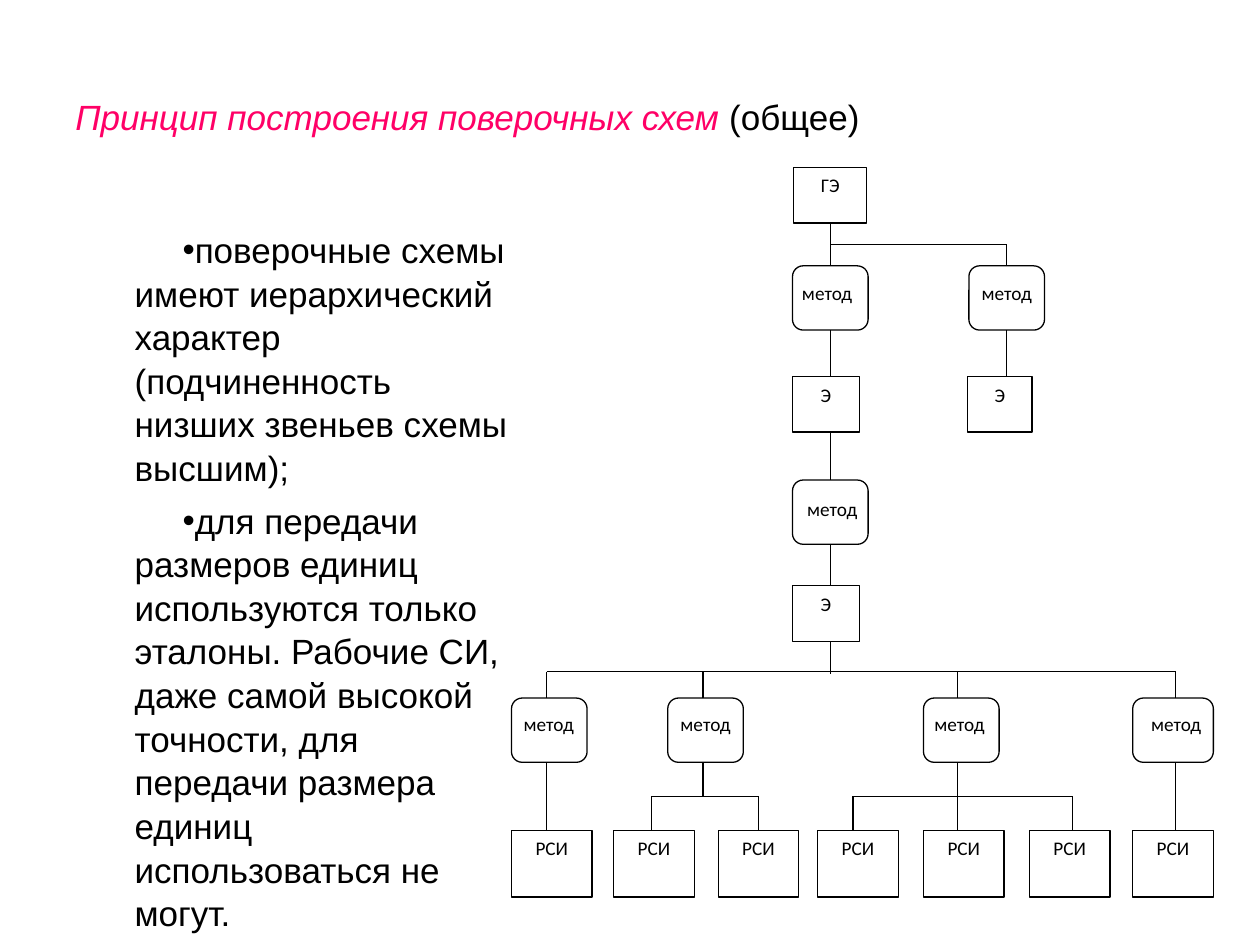
from lxml.etree import SubElement
from pptx import Presentation
from pptx.dml.color import RGBColor
from pptx.enum.shapes import MSO_CONNECTOR as LINE, MSO_SHAPE as SHAPE
from pptx.enum.text import MSO_ANCHOR as ANCHOR, PP_ALIGN as ALIGN
from pptx.oxml.ns import qn
from pptx.util import Pt

SCALE = 9144
BLACK, WHITE, PINK = "000000", "FFFFFF", "FF0066"
TOP, BOTTOM = 0, 2


def px(n):
    return round(n * SCALE)


def color(value):
    return RGBColor.from_string(value)


def write(p, text, size=20, font="Arial", fill=BLACK, italic=False):
    r = p.add_run()
    r.text = text
    r.font.size = Pt(size)
    r.font.name = font
    r.font.italic = italic
    r.font.color.rgb = color(fill)


def add_frame(slide, x, y, w, h, anchor=ANCHOR.TOP):
    tf = slide.shapes.add_textbox(px(x), px(y), px(w), px(h)).text_frame
    tf.word_wrap = True
    tf.vertical_anchor = anchor
    return tf


def add_title(slide, x, y, w, h):
    p = add_frame(slide, x, y, w, h, ANCHOR.MIDDLE).paragraphs[0]
    write(p, "Принцип построения поверочных схем ", fill=PINK, italic=True)
    write(p, "(общее)")


def add_body(slide, x, y, w, h, items):
    tf = add_frame(slide, x, y, w, h)
    for i, item in enumerate(items):
        p = tf.add_paragraph() if i else tf.paragraphs[0]
        p.space_before = Pt(5)
        p.line_spacing = 1.04
        pPr = p._p.get_or_add_pPr()
        pPr.set("marL", str(px(47)))
        pPr.set("indent", str(px(38)))
        SubElement(pPr, qn("a:buFont")).set("typeface", "Arial")
        SubElement(pPr, qn("a:buChar")).set("char", "•")
        write(p, item)


def add_box(slide, kind, x, y, w, h, text="", outline=True, inset=(10, 5)):
    sp = slide.shapes.add_shape(kind, px(x), px(y), px(w), px(h))
    sp.shadow.inherit = False
    sp.fill.solid()
    sp.fill.fore_color.rgb = color(WHITE)
    if outline:
        sp.line.color.rgb = color(BLACK)
        sp.line.width = Pt(0.75)
    else:
        sp.line.fill.background()
    if text:
        tf = sp.text_frame
        tf.word_wrap = True
        tf.vertical_anchor = ANCHOR.TOP
        tf.margin_left = tf.margin_right = px(inset[0])
        tf.margin_top = tf.margin_bottom = px(inset[1])
        p = tf.paragraphs[0]
        p.alignment = ALIGN.CENTER
        p.space_after = Pt(10)
        write(p, text, size=11, font="Calibri")
    return sp


def add_line(slide, x1, y1, x2, y2, upper=None, lower=None):
    line = slide.shapes.add_connector(LINE.STRAIGHT, px(x1), px(y1), px(x2), px(y2))
    line.line.color.rgb = color(BLACK)
    line.line.width = Pt(0.75)
    SubElement(line._element.spPr, qn("a:effectLst"))
    if upper is not None and upper.left + upper.width // 2 == px(x1):
        line.begin_connect(upper, BOTTOM)
    if lower is not None and lower.left + lower.width // 2 == px(x2):
        line.end_connect(lower, TOP)


def add_diagram(slide, left, top):
    def box(x, y, w, h, text):
        return add_box(slide, SHAPE.RECTANGLE, left + x, top + y, w, h, text)

    def method(x, y, label_x, label_y, label_w, w=60):
        sp = add_box(slide, SHAPE.FLOWCHART_ALTERNATE_PROCESS, left + x, top + y, w, 51)
        add_box(slide, SHAPE.RECTANGLE, left + x + label_x, top + y + label_y,
                label_w, 26, "метод", outline=False, inset=(0, 0))
        return sp

    def drop(x, y1, y2, upper=None, lower=None):
        add_line(slide, left + x, top + y1, left + x, top + y2, upper, lower)

    def bus(x1, x2, y):
        add_line(slide, left + x1, top + y, left + x2, top + y)

    trunk, branch = 253, 393
    primary = box(224, 0, 58, 44, "ГЭ")
    first = method(223, 78, 1, 12, 53)
    side = method(363, 78, 6, 12, 48)
    standard = box(223, 166, 53, 44, "Э")
    side_standard = box(362, 166, 51, 44, "Э")
    second = method(223, 248, 4, 14, 55)
    working = box(223, 332, 53, 44, "Э")

    drop(trunk, 44, 78, primary, first)
    drop(trunk, 129, 166, first, standard)
    drop(trunk, 210, 248, standard, second)
    drop(trunk, 299, 332, second, working)
    drop(trunk, 376, 402, working)
    bus(trunk, branch, 61)
    drop(branch, 61, 78, lower=side)
    drop(branch, 129, 166, side, side_standard)

    bus_y, method_y, fork_y, tool_y = 400, 421, 499, 526
    bus(28, 527, bus_y)
    families = [
        (28, (0, 5, 49, 60), [(0, 28)]),
        (152, (124, 6, 48, 60), [(81, 111), (164, 196)]),
        (354, (327, 5, 47, 60), [(243, 271), (327, 354), (411, 445)]),
        (527, (493, 11, 47, 64), [(493, 527)]),
    ]
    for x, (method_x, label_x, label_w, method_w), tools in families:
        sp = method(method_x, method_y, label_x, 11, label_w, method_w)
        drop(x, bus_y, method_y, lower=sp)
        drop(x, method_y + 51, fork_y if len(tools) > 1 else tool_y, sp)
        if len(tools) > 1:
            bus(tools[0][1], tools[-1][1], fork_y)
        for tool_x, drop_x in tools:
            tool = box(tool_x, tool_y, 64, 53, "РСИ")
            if len(tools) > 1:
                drop(drop_x, fork_y, tool_y, lower=tool)


def main():
    prs = Presentation()
    prs.slide_width, prs.slide_height = px(1000), px(750)
    s = prs.slides.add_slide(prs.slide_layouts[6])
    add_title(s, 50, 30, 900, 125)
    add_body(s, 50, 175, 371, 539, [
        "поверочные схемы имеют иерархический характер "
        "(подчиненность низших звеньев схемы высшим);",
        "для передачи размеров единиц используются только эталоны. "
        "Рабочие СИ, даже самой высокой точности, для передачи размера "
        "единиц использоваться не могут.",
    ])
    add_diagram(s, 406, 133)
    prs.save("out.pptx")


if __name__ == "__main__":
    main()
